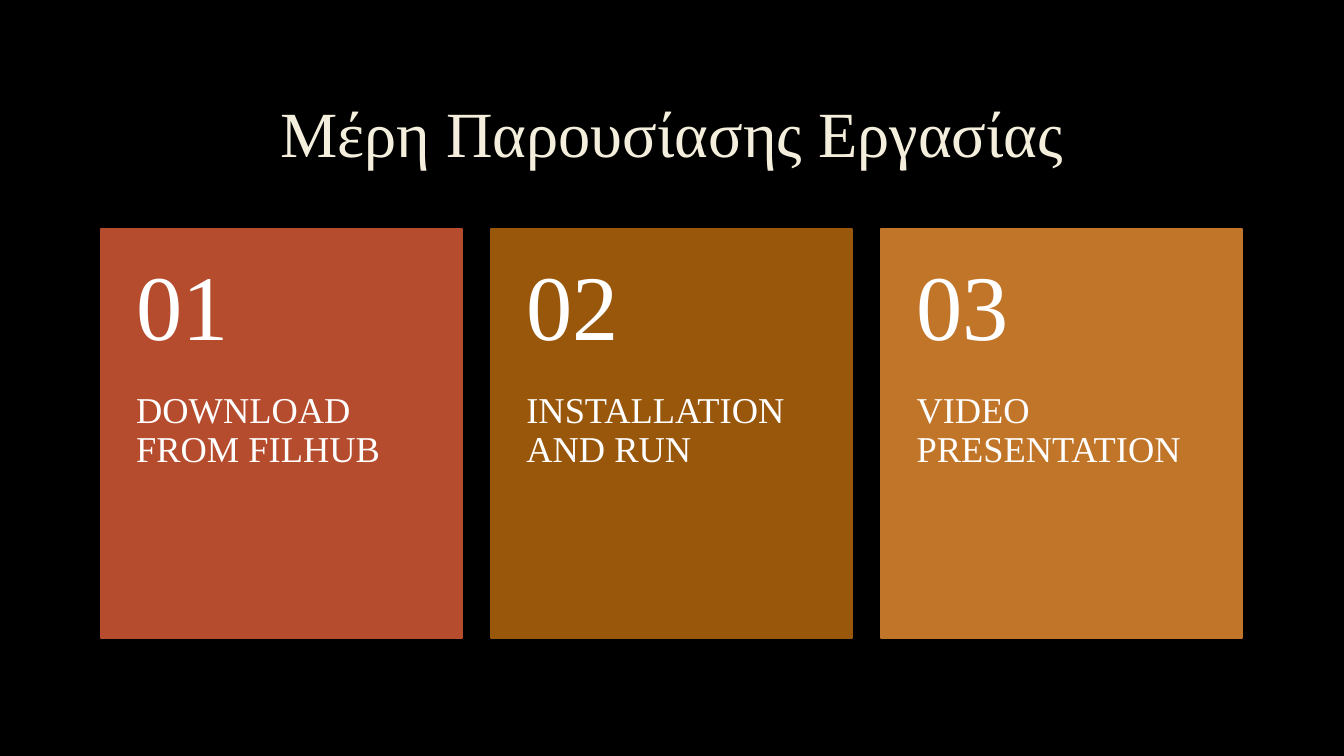
from dataclasses import dataclass

from pptx import Presentation
from pptx.dml.color import RGBColor
from pptx.enum.shapes import MSO_SHAPE
from pptx.enum.text import MSO_ANCHOR, PP_ALIGN
from pptx.util import Inches, Pt

RECTANGLE = MSO_SHAPE.RECTANGLE
TOP, MIDDLE = MSO_ANCHOR.TOP, MSO_ANCHOR.MIDDLE
LEFT, CENTER = PP_ALIGN.LEFT, PP_ALIGN.CENTER

TITLE = "Μέρη Παρουσίασης Εργασίας"
CARDS = [
    ("01", "DOWNLOAD FROM FILHUB", "B54C2D"),
    ("02", "INSTALLATION AND RUN", "99570C"),
    ("03", "VIDEO PRESENTATION", "C17529"),
]


@dataclass(frozen=True)
class Theme:
    font: str = "Times New Roman"
    background: str = "000000"
    title_color: str = "F4EEDC"
    card_text: str = "FFFFFF"
    title_size: int = 46
    number_size: int = 66
    label_size: int = 26
    line_spacing: float = 0.9
    border: float = 1.25


THEME = Theme()
MARGIN, CARD_TOP = 1, 2.27
CARD_WIDTH, CARD_HEIGHT, CARD_STEP = 3.58, 4.06, 3.87
NUMBER_HEIGHT = 1.62
TITLE_INSETS = (0.1, 0.05, 0.1, 0.05)
NUMBER_INSETS = (0.35, 0.18, 0.35, 0.18)
LABEL_INSETS = (0.35, 0, 0.35, 0.36)


def apply(target, values):
    for name, value in values.items():
        setattr(target, name, value)


def add_text(page, area, text, size, color, insets, anchor, align=LEFT):
    box = page.shapes.add_textbox(*map(Inches, area))
    left, top, right, bottom = map(Inches, insets)
    apply(box.text_frame, {
        "word_wrap": True, "vertical_anchor": anchor,
        "margin_left": left, "margin_top": top,
        "margin_right": right, "margin_bottom": bottom,
    })
    para = box.text_frame.paragraphs[0]
    apply(para, {"alignment": align, "line_spacing": THEME.line_spacing})
    span = para.add_run()
    span.text = text
    apply(span.font, {"name": THEME.font, "size": Pt(size)})
    span.font.color.rgb = RGBColor.from_string(color)


def add_card(page, left, number, label, color):
    area = (left, CARD_TOP, CARD_WIDTH, CARD_HEIGHT)
    panel = page.shapes.add_shape(RECTANGLE, *map(Inches, area))
    panel.shadow.inherit = False
    for fill in (panel.fill, panel.line.fill):
        fill.solid()
        fill.fore_color.rgb = RGBColor.from_string(color)
    panel.line.width = Pt(THEME.border)

    label_area = (left, CARD_TOP + NUMBER_HEIGHT, CARD_WIDTH, CARD_HEIGHT - NUMBER_HEIGHT)
    add_text(page, label_area, label, THEME.label_size, THEME.card_text, LABEL_INSETS, TOP)
    number_area = (left, CARD_TOP, CARD_WIDTH, NUMBER_HEIGHT)
    add_text(page, number_area, number, THEME.number_size, THEME.card_text, NUMBER_INSETS, MIDDLE)


def main():
    deck = Presentation()
    apply(deck, {"slide_width": Inches(13.33), "slide_height": Inches(7.5)})
    page = deck.slides.add_slide(deck.slide_layouts[6])
    page.background.fill.solid()
    page.background.fill.fore_color.rgb = RGBColor.from_string(THEME.background)

    add_text(page, (MARGIN, 0.67, 11.32, 1.38), TITLE, THEME.title_size,
             THEME.title_color, TITLE_INSETS, MIDDLE, CENTER)
    for index, card in enumerate(CARDS):
        add_card(page, MARGIN + index * CARD_STEP, *card)
    deck.save("out.pptx")


if __name__ == "__main__":
    main()
